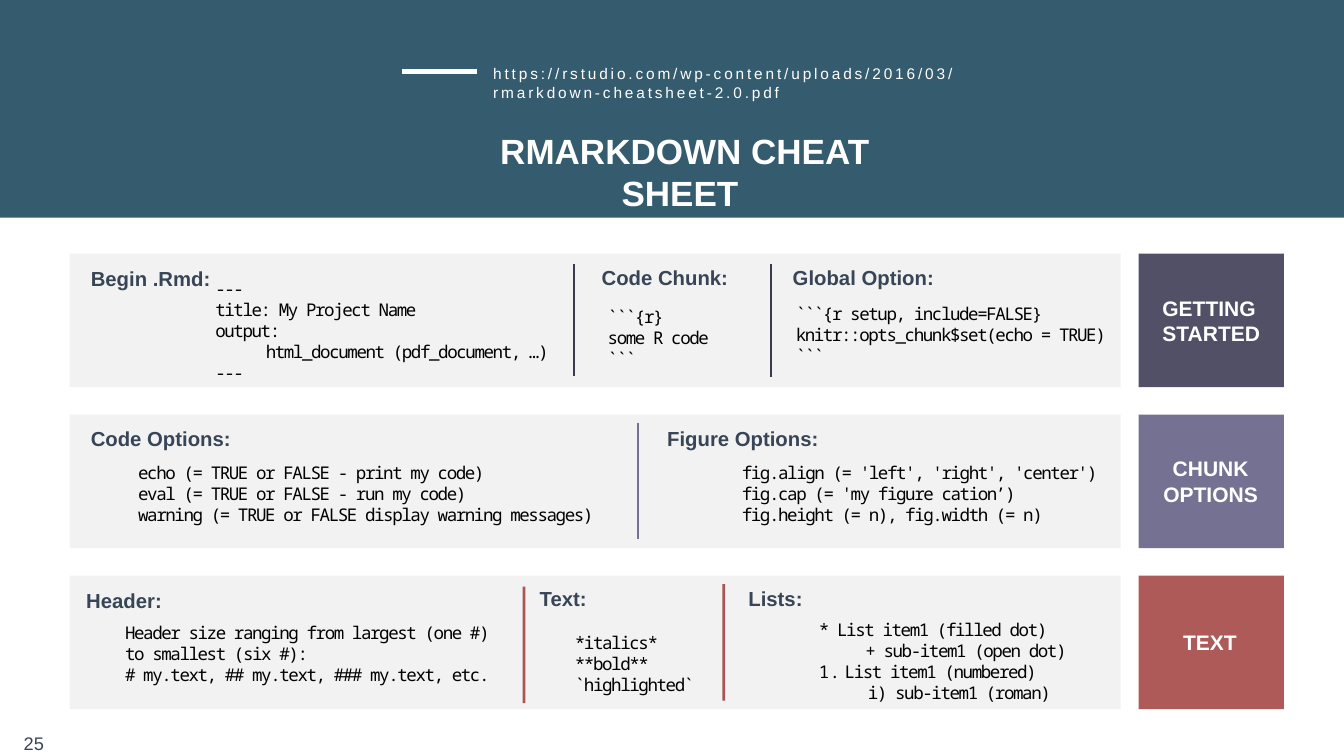
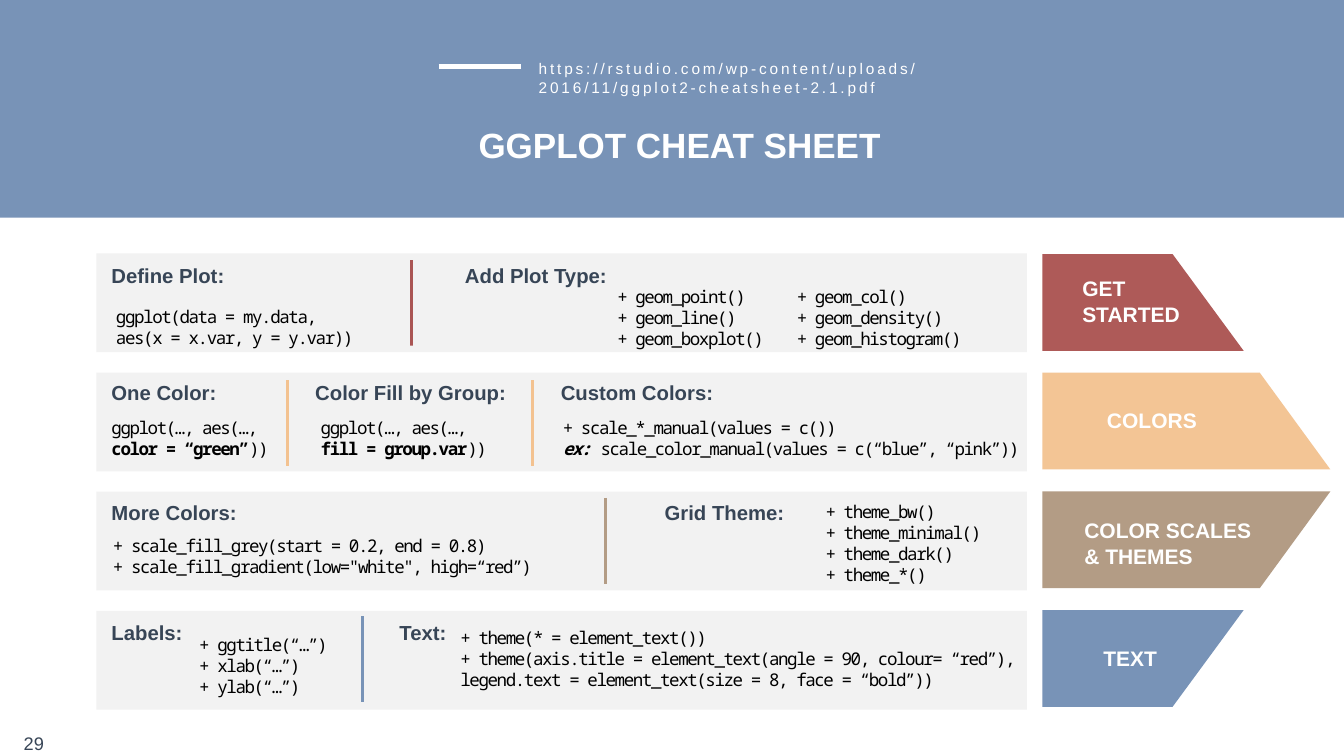
from lxml.etree import SubElement
from pptx import Presentation
from pptx.dml.color import RGBColor
from pptx.enum.shapes import MSO_CONNECTOR, MSO_SHAPE
from pptx.enum.text import MSO_ANCHOR, PP_ALIGN
from pptx.oxml.ns import qn
from pptx.util import Inches, Pt

WHITE = RGBColor(0xFF, 0xFF, 0xFF)
BLACK = RGBColor(0x00, 0x00, 0x00)
PANEL = RGBColor(0xF2, 0xF2, 0xF2)
SLATE = RGBColor(0x37, 0x45, 0x56)
TEAL = RGBColor(0x35, 0x5B, 0x6E)
INK = RGBColor(0x3C, 0x3A, 0x4B)
PLUM = RGBColor(0x52, 0x50, 0x67)
VIOLET = RGBColor(0x74, 0x71, 0x93)
RED = RGBColor(0x88, 0x0C, 0x0A)
BLUE = RGBColor(0x78, 0x93, 0xB7)
PEACH = RGBColor(0xF3, 0xC2, 0x90)
TAN = RGBColor(0xB3, 0x9C, 0x85)

OPACITY = {RED: 68, PEACH: 95}
SANS, MONO = "Arial", "Noto Sans Mono"


def set_opacity(fill, percent):
    color = fill._xPr.find(qn("a:solidFill"))[0]
    SubElement(color, qn("a:alpha")).set("val", str(percent * 1000))


def paint(sp, color):
    """Fill a shape plainly, with the colour's own opacity."""
    sp.shadow.inherit = False
    sp.fill.solid()
    sp.fill.fore_color.rgb = color
    if color in OPACITY:
        set_opacity(sp.fill, OPACITY[color])
    sp.line.fill.background()


def add_rect(slide, x, y, w, h, color):
    sp = slide.shapes.add_shape(MSO_SHAPE.RECTANGLE, Inches(x), Inches(y),
                                Inches(w), Inches(h))
    paint(sp, color)


def add_line(slide, x1, y1, x2, y2, color, width, opacity=100):
    line = slide.shapes.add_connector(MSO_CONNECTOR.STRAIGHT, Inches(x1), Inches(y1),
                                      Inches(x2), Inches(y2))
    line.line.color.rgb = color
    line.line.width = Pt(width)
    if opacity < 100:
        set_opacity(line.line.fill, opacity)
    SubElement(line._element.spPr, qn("a:effectLst"))


def add_divider(slide, x, top, height, color):
    add_line(slide, x, top, x, top + height, color, 4, 68 if color == RED else 100)


def add_text(slide, box, lines, size, color, font=SANS, bold=False, spacing=0,
             align=PP_ALIGN.LEFT, anchor=MSO_ANCHOR.MIDDLE, inset=0.06):
    """Add a text box; a line is a string or a (before, bold, after) tuple."""
    sp = slide.shapes.add_textbox(*(Inches(v) for v in box))
    tf = sp.text_frame
    tf.word_wrap = True
    tf.vertical_anchor = anchor
    tf.margin_left = tf.margin_right = tf.margin_top = tf.margin_bottom = Inches(inset)
    for i, line in enumerate(lines):
        p = tf.paragraphs[0] if i == 0 else tf.add_paragraph()
        p.alignment = align
        p.line_spacing = Pt(round(size * 1.21))
        p.font.name = font
        p.font.size = Pt(size)
        p.font.bold = bold
        p.font.color.rgb = color
        if spacing:
            p.font._rPr.set("spc", str(round(spacing * 100)))
        parts = (line,) if isinstance(line, str) else line
        for j, part in enumerate(parts):
            if part:
                r = p.add_run()
                r.text = part
                if spacing:
                    r._r.get_or_add_rPr().set("spc", str(round(spacing * 100)))
                if j == 1:
                    r.font.bold = True
    return tf.paragraphs


def add_heading(slide, x, y, text, width=4.0):
    add_text(slide, (x, y, width, 0.6), [text], 29, SLATE, bold=True)


def add_code(slide, x, y, w, h, *lines):
    return add_text(slide, (x, y, w, h), lines, 25, BLACK, MONO, spacing=-2)


def add_label(slide, x, y, w, h, *lines, align=PP_ALIGN.LEFT):
    add_text(slide, (x, y, w, h), lines, 30, WHITE, bold=True, align=align)


def indent(p, left, number=False):
    pPr = p._p.get_or_add_pPr()
    pPr.set("marL", str(Inches(left)))
    if number:
        pPr.set("indent", str(-Inches(left)))
        bullet = pPr.makeelement(qn("a:buAutoNum"), {"type": "arabicPeriod"})
        pPr.find(qn("a:defRPr")).addprevious(bullet)


def add_frame(prs, color, title, title_box, url, url_box, rule, number):
    """Start a slide with its banner, title, link, rule and page number."""
    slide = prs.slides.add_slide(prs.slide_layouts[6])
    add_rect(slide, -0.03, -0.06, 26.72, 4.38, color)
    add_text(slide, (0.41, 14.46, 0.8, 0.56), [number], 26, SLATE)
    add_text(slide, title_box, [title], 50, WHITE, bold=True, align=PP_ALIGN.CENTER,
             anchor=MSO_ANCHOR.TOP, inset=0.05)
    add_text(slide, url_box, [url], 22, WHITE, spacing=4.1,
             anchor=MSO_ANCHOR.TOP, inset=0.05)
    left, right, y = rule
    add_line(slide, left, y, right, y, WHITE, 7)
    return slide


def add_tab(slide, y, short, long, wide_edge, color):
    """Add a slanted tab, its long edge at the top or the bottom."""
    left, height = 20.67, 1.92
    top, bottom = (long, short) if wide_edge == "top" else (short, long)
    points = [(left, y), (left + top, y), (left + bottom, y + height), (left, y + height)]
    points = [(Inches(px), Inches(py)) for px, py in points]
    builder = slide.shapes.build_freeform(*points[0], scale=1.0)
    builder.add_line_segments(points[1:], close=True)
    paint(builder.convert_to_shape(), color)


def build_rmarkdown(prs):
    slide = add_frame(
        prs, TEAL, "RMARKDOWN CHEAT SHEET ", (9.47, 2.53, 8.22, 1.22),
        "https://rstudio.com/wp-content/uploads/2016/03/rmarkdown-cheatsheet-2.0.pdf",
        (9.73, 1.22, 9.53, 1.1), (7.98, 9.46, 1.41), "25")
    for i, color in enumerate((PLUM, VIOLET, RED)):
        y = 5.03 + i * 3.195
        add_rect(slide, 1.38, y, 20.84, 2.65, PANEL)
        add_rect(slide, 22.58, y, 2.88, 2.65, color)
    for x, y, color in [(11.38, 5.23, INK), (15.29, 5.24, INK), (12.65, 8.39, VIOLET),
                        (10.39, 11.64, RED), (14.35, 11.59, RED)]:
        add_divider(slide, x, y, 2.24 if color == INK else 2.31, color)

    add_label(slide, 22.99, 5.8, 2.1, 1.11, "GETTING", "STARTED")
    add_label(slide, 22.98, 8.99, 2.05, 1.11, "CHUNK OPTIONS", align=PP_ALIGN.CENTER)
    add_label(slide, 23.4, 12.44, 1.37, 0.61, "TEXT")

    add_heading(slide, 1.74, 5.23, "Begin .Rmd:", 2.6)
    add_heading(slide, 11.87, 5.2, "Code Chunk:", 3.28)
    add_heading(slide, 15.66, 5.2, "Global Option:")
    add_heading(slide, 1.74, 8.4, "Code Options:")
    add_heading(slide, 13.17, 8.39, "Figure Options:")
    add_heading(slide, 1.65, 11.62, "Header:")
    add_heading(slide, 10.64, 11.58, "Text:")
    add_heading(slide, 14.78, 11.58, "Lists:")

    yaml = add_code(slide, 4.21, 5.47, 7.12, 2.19, "---", "title: My Project Name",
                    "output:", "html_document (pdf_document, …)", "---")
    indent(yaml[3], 1)
    add_code(slide, 11.99, 6.02, 2.49, 1.36, "```{r}", "some R code", "```")
    add_code(slide, 15.72, 5.96, 6.4, 1.36, "```{r setup, include=FALSE}",
             "knitr::opts_chunk$set(echo = TRUE)", "```")
    add_code(slide, 2.68, 9.12, 9.44, 1.36, "echo (= TRUE or FALSE - print my code)",
             "eval (= TRUE or FALSE - run my code)",
             "warning (= TRUE or FALSE display warning messages)")
    add_code(slide, 14.65, 9.12, 9.02, 1.36, "fig.align (= 'left', 'right', 'center')",
             "fig.cap (= 'my figure cation’)", "fig.height (= n), fig.width (= n)")
    add_code(slide, 2.42, 12.28, 7.78, 1.36,
             "Header size ranging from largest (one #) to smallest (six #):",
             "# my.text, ## my.text, ### my.text, etc.")
    add_code(slide, 11.34, 12.28, 2.72, 1.78, "*italics*", "**bold**", "`highlighted`")
    items = add_code(slide, 16.18, 12.22, 6.25, 1.78, "* List item1 (filled dot)",
                     "+ sub-item1 (open dot)", "List item1 (numbered)",
                     "i) sub-item1 (roman)")
    indent(items[1], 0.92)
    indent(items[2], 0.51, number=True)
    indent(items[3], 0.97)


def build_ggplot(prs):
    slide = add_frame(
        prs, BLUE, "GGPLOT CHEAT SHEET ", (9.04, 2.4, 9.07, 1.35),
        "https://rstudio.com/wp-content/uploads/2016/11/ggplot2-cheatsheet-2.1.pdf",
        (10.63, 1.11, 8.11, 1.21), (8.7, 10.33, 1.32), "29")
    tabs = [(2.58, 3.99, "bottom", RED), (4.31, 5.71, "bottom", PEACH),
            (4.31, 5.71, "top", TAN), (2.58, 3.99, "top", BLUE)]
    for i, tab in enumerate(tabs):
        add_tab(slide, 5.04 + i * 2.355, *tab)
        add_rect(slide, 1.91, 5.03 + i * 2.363, 18.45, 1.96, PANEL)
    for x, y, color in [(8.16, 5.16, RED), (5.7, 7.54, PEACH), (10.56, 7.54, PEACH),
                        (12, 9.88, TAN), (7.19, 12.23, BLUE)]:
        add_divider(slide, x, y, 1.7, color)

    add_label(slide, 21.4, 5.42, 2.19, 1.11, "GET STARTED")
    add_label(slide, 21.89, 8.04, 2.05, 0.61, "COLORS")
    add_label(slide, 21.44, 10.22, 3.69, 1.11, "COLOR SCALES & THEMES")
    add_label(slide, 21.82, 12.76, 1.36, 0.61, "TEXT")

    headings = {5.16: [(2.15, "Define Plot:"), (9.16, "Add Plot Type:")],
                7.48: [(2.15, "One Color:"), (6.19, "Color Fill by Group:"),
                       (11.06, "Custom Colors:")],
                9.87: [(2.15, "More Colors:"), (13.12, "Grid Theme:")],
                12.25: [(2.15, "Labels:"), (7.86, "Text:")]}
    for y, row in headings.items():
        for x, text in row:
            add_heading(slide, x, y, text)

    add_code(slide, 2.24, 5.81, 4.98, 1.36,
             "ggplot(data = my.data, aes(x = x.var, y = y.var))")
    add_code(slide, 12.18, 5.41, 3.08, 1.78,
             "+ geom_point()", "+ geom_line()", "+ geom_boxplot()")
    add_code(slide, 15.74, 5.41, 3.69, 1.78,
             "+ geom_col()", "+ geom_density()", "+ geom_histogram()")
    add_code(slide, 2.15, 8.23, 3.28, 0.94, ("ggplot(…, aes(…, ", "color = “green”", "))"))
    add_code(slide, 6.3, 8.23, 3.51, 0.94, ("ggplot(…, aes(…, ", "fill = group.var", "))"))
    custom = add_code(slide, 11.1, 8.23, 9.25, 0.94, "+ scale_*_manual(values = c())",
                      ("", "ex:", " scale_color_manual(values = c(“blue”, “pink”))"))
    custom[1].runs[0].font.italic = True
    add_code(slide, 2.18, 10.56, 8.54, 0.94, "+ scale_fill_grey(start = 0.2, end = 0.8)",
             "+ scale_fill_gradient(low=\"white\", high=“red”)")
    add_code(slide, 16.31, 9.89, 3.28, 1.78,
             "+ theme_bw()", "+ theme_minimal()", "+ theme_dark()", "+ theme_*()")
    add_code(slide, 3.89, 12.52, 2.88, 1.36, "+ ggtitle(“…”)", "+ xlab(“…”)", "+ ylab(“…”)")
    add_code(slide, 9.07, 12.39, 11.5, 1.36, "+ theme(* = element_text())",
             "+ theme(axis.title = element_text(angle = 90, colour= “red”), "
             "legend.text = element_text(size = 8, face = “bold”))")


def main():
    prs = Presentation()
    prs.slide_width, prs.slide_height = Inches(26.65), Inches(15)
    build_rmarkdown(prs)
    build_ggplot(prs)
    prs.save("out.pptx")


if __name__ == "__main__":
    main()
